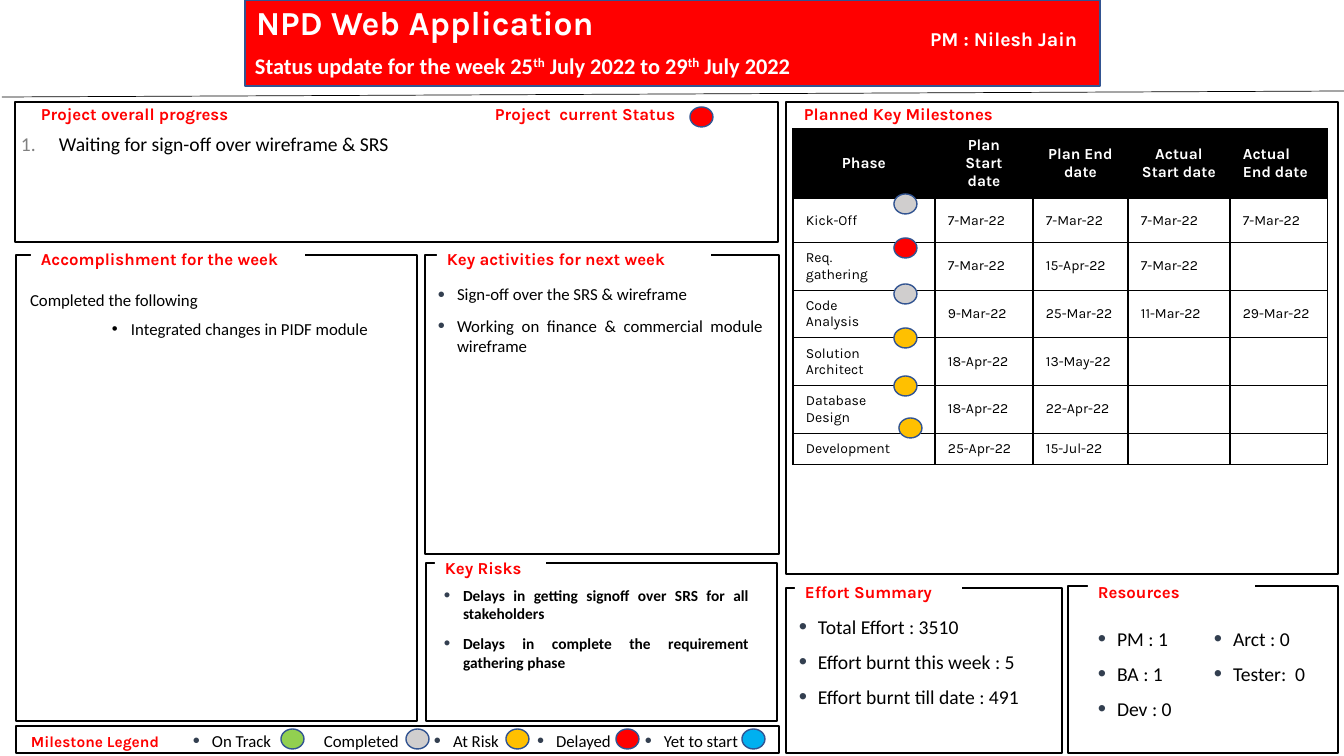
from pptx import Presentation
from pptx.dml.color import RGBColor
from pptx.enum.shapes import MSO_CONNECTOR as Connector, MSO_SHAPE as Shape
from pptx.enum.text import MSO_ANCHOR as Anchor, PP_ALIGN as Align
from pptx.oxml.ns import qn
from pptx.util import Emu, Pt
from lxml.etree import SubElement

SCALE = 914400 / 100.8
BLACK, WHITE, RED, NAVY = "000000", "FFFFFF", "FF0000", "325491"
GREY, AMBER, GREEN, BLUE = "D0CECE", "FFC000", "92D050", "00B0F0"


def px(length):
    return Emu(round(length * SCALE))


def color(code):
    return RGBColor.from_string(code)


class StatusPage:
    heading_font, body_font = "Karla", "Calibri"

    def __init__(self, deck):
        self.page = deck.slides.add_slide(deck.slide_layouts[6])
        self.shapes = self.page.shapes

    def shape(self, kind, frame, fill, line, weight):
        item = self.shapes.add_shape(kind, *map(px, frame))
        item.shadow.inherit = False
        item.fill.solid()
        item.fill.fore_color.rgb = color(fill)
        item.line.color.rgb = color(line)
        item.line.width = Pt(weight)

    def panel(self, *frame, fill=WHITE, line=BLACK, weight=1.5):
        self.shape(Shape.RECTANGLE, frame, fill, line, weight)

    def dot(self, left, top, fill):
        self.shape(Shape.OVAL, (left, top, 23, 20), fill, NAVY, 1)

    def rule(self, *ends):
        line = self.shapes.add_connector(Connector.STRAIGHT, *map(px, ends))
        line.line.color.rgb = color(BLACK)
        line.line.width = Pt(0.5)
        SubElement(line._element.spPr, qn("a:effectLst"))

    def box(self, frame, fill=WHITE, inset=0, wrap=True):
        box = self.shapes.add_textbox(*map(px, frame))
        if fill:
            box.fill.solid()
            box.fill.fore_color.rgb = color(fill)
        text = box.text_frame
        text.word_wrap = wrap
        text.margin_left = text.margin_right = px(10)
        text.margin_top = text.margin_bottom = px(inset)
        return text

    def span(self, para, words, size, font=None, ink=BLACK, bold=False, raised=False):
        span = para.add_run()
        span.text = words
        span.font.name = font or self.body_font
        span.font.size = Pt(size)
        span.font.bold = bold
        span.font.color.rgb = color(ink)
        if raised:
            span.font._element.set("baseline", "30000")

    def heading(self, words, *frame, size=12, ink=RED, fill=WHITE, inset=0):
        para = self.box(frame, fill, inset).paragraphs[0]
        self.span(para, words, size, self.heading_font, ink, True)

    def bullet(self, para, margin, hang, ink, percent=100, number=False):
        props = para._p.get_or_add_pPr()
        props.set("marL", str(px(margin)))
        props.set("indent", str(-px(hang)))
        SubElement(SubElement(props, qn("a:buClr")), qn("a:srgbClr"), val=ink)
        SubElement(props, qn("a:buSzPct"), val=str(percent * 1000))
        if number:
            SubElement(props, qn("a:buAutoNum"), type="arabicPeriod")
        else:
            SubElement(props, qn("a:buFont"), typeface="Arial")
            SubElement(props, qn("a:buChar"), char="•")

    def bullets(self, lines, *frame, size=12, bold=False):
        text = self.box(frame)
        for index, words in enumerate(lines):
            para = text.add_paragraph() if index else text.paragraphs[0]
            para.alignment = Align.JUSTIFY
            para.space_before, para.space_after = Pt(6), Pt(2)
            self.bullet(para, 19, 19, "333F50", 120)
            self.span(para, words, size, bold=bold)

    def cell(self, cell, words, header, centred):
        cell.margin_left = cell.margin_right = px(13)
        cell.margin_top = cell.margin_bottom = px(7)
        cell.vertical_anchor = Anchor.MIDDLE
        props = cell._tc.get_or_add_tcPr()
        for side in ("lnL", "lnR", "lnT", "lnB"):
            edge = SubElement(props, qn(f"a:{side}"), w=str(Pt(1)))
            SubElement(SubElement(edge, qn("a:solidFill")), qn("a:srgbClr"), val=BLACK)
        cell.fill.solid()
        cell.fill.fore_color.rgb = color(BLACK if header else WHITE)
        text = cell.text_frame
        for index, line in enumerate(words.split("\n")):
            para = text.add_paragraph() if index else text.paragraphs[0]
            if centred:
                para.alignment = Align.CENTER
            if line:
                self.span(para, line, 11 if header else 10, self.heading_font,
                          WHITE if header else BLACK, header)
            else:
                SubElement(para._p, qn("a:endParaRPr"), sz="1000")

    def table(self, left, top, widths, heights, rows):
        frame = (left, top, sum(widths), sum(heights))
        table = self.shapes.add_table(len(rows), len(widths), *map(px, frame)).table
        table.horz_banding = False
        for column, width in zip(table.columns, widths):
            column.width = px(width)
        for row, height in zip(table.rows, heights):
            row.height = px(height)
        for r, row in enumerate(rows):
            for c, words in enumerate(row):
                self.cell(table.cell(r, c), words, r == 0, r == 0 and c < len(row) - 1)


deck = Presentation()
deck.slide_width, deck.slide_height = px(1344), px(756)
status = StatusPage(deck)

status.panel(245, 0, 855, 86, fill=RED, line=NAVY, weight=1)
status.heading("NPD Web Application", 246, -3, 405, 50, size=24, ink=WHITE, fill=None, inset=5)
status.heading("PM : Nilesh Jain", 920, 27, 169, 24, size=14, ink=WHITE, fill=RED)
week = status.box((245, 47, 559, 37), None, 5, False).paragraphs[0]
for words, raised in (("Status update for the week 25", False), ("th", True),
                      (" July 2022 to 29", False), ("th", True), (" July 2022", False)):
    status.span(week, words, 16, ink=WHITE, bold=True, raised=raised)
status.rule(2, 97, 1344, 91)

for frame in ((15, 102, 763, 140), (16, 255, 401, 466), (425, 255, 354, 299),
              (426, 563, 351, 158), (786, 102, 552, 472), (786, 588, 276, 165),
              (1068, 586, 270, 167), (16, 726, 763, 27)):
    status.panel(*frame)

for words, left, top, width in (
        ("Project overall progress", 31, 104, 274),
        ("Project  current Status", 485, 104, 203),
        ("Accomplishment for the week", 31, 249, 274),
        ("Key activities for next week", 437, 249, 274),
        ("Key Risks", 435, 558, 111),
        ("Planned Key Milestones", 794, 104, 249),
        ("Effort Summary", 795, 582, 167),
        ("Resources", 1088, 582, 167)):
    status.heading(words, left, top, width, 20)
status.heading("Milestone Legend", 21, 732, 155, 19, size=11)

progress = status.box((11, 127, 487, 85), None, 5).paragraphs[0]
status.bullet(progress, 38, 38, "808080", number=True)
status.span(progress, "Waiting for sign-off over wireframe & SRS", 14)

done = status.box((20, 290, 390, 49))
status.span(done.paragraphs[0], "Completed the following", 12)
change = done.add_paragraph()
change.space_before = Pt(6)
status.bullet(change, 101, 19, BLACK)
status.span(change, "Integrated changes in PIDF module", 12)

status.bullets(["Sign-off over the SRS & wireframe",
                "Working on finance & commercial module wireframe"], 428, 284, 345, 73)
status.bullets(["Delays in getting signoff over SRS for all stakeholders",
                "Delays in complete the requirement gathering phase"],
               434, 586, 325, 86, size=11, bold=True)
status.bullets(["Total Effort : 3510", "Effort burnt this week : 5",
                "Effort burnt till date : 491"], 789, 615, 259, 94, size=14)
status.bullets(["PM : 1", "BA : 1", "Dev : 0"], 1088, 627, 116, 94, size=14)
status.bullets(["Arct : 0", "Tester:  0"], 1204, 627, 121, 58, size=14)

status.table(793, 129, (142, 98, 95, 102, 98), (68, 44, 47, 47, 47, 47, 31), [
    ("Phase", "Plan Start date", "Plan End date", "Actual\nStart date", "Actual\nEnd date"),
    ("Kick-Off", "7-Mar-22", "7-Mar-22", "7-Mar-22", "7-Mar-22"),
    ("Req.\ngathering", "7-Mar-22", "15-Apr-22", "7-Mar-22", ""),
    ("Code\nAnalysis", "9-Mar-22", "25-Mar-22", "11-Mar-22", "29-Mar-22"),
    ("Solution\nArchitect", "18-Apr-22", "13-May-22", "", ""),
    ("Database\nDesign", "18-Apr-22", "22-Apr-22", "", ""),
    ("Development", "25-Apr-22", "15-Jul-22", "", "")])

for left, top, fill in ((894, 194, GREY), (894, 238, RED), (894, 284, GREY),
                        (894, 328, AMBER), (894, 376, AMBER), (899, 418, AMBER),
                        (690, 107, RED)):
    status.dot(left, top, fill)

status.span(status.box((314, 731, 104, 20)).paragraphs[0], "Completed", 12)
for words, left, width in (("On Track", 183, 122), ("At Risk", 424, 103),
                           ("Delayed", 527, 108), ("Yet to start", 635, 142)):
    status.bullets([words], left, 731, width, 20)
for left, fill in ((281, GREEN), (406, GREY), (506, AMBER), (616, RED), (742, BLUE)):
    status.dot(left, 729, fill)

deck.save("out.pptx")
